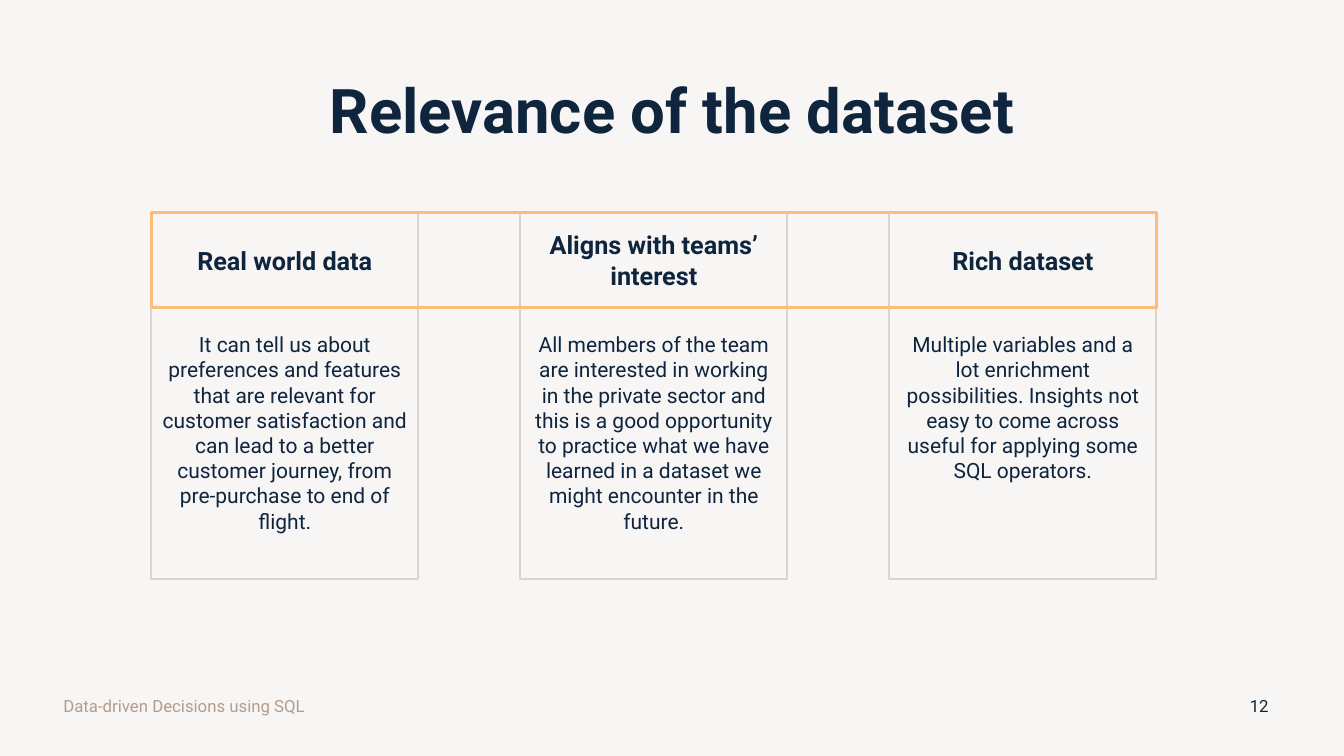
from dataclasses import dataclass

from pptx import Presentation
from pptx.dml.color import RGBColor
from pptx.enum.shapes import MSO_SHAPE as Shape
from pptx.enum.text import MSO_ANCHOR as Anchor, MSO_AUTO_SIZE as AutoSize, PP_ALIGN as Align
from pptx.shapes.autoshape import Shape as AutoShape
from pptx.slide import Slide
from pptx.util import Inches, Pt

NAVY = RGBColor(0x0F, 0x25, 0x3E)
TAUPE = RGBColor(0xB1, 0x9D, 0x8D)
BORDER = RGBColor(0xDC, 0xD3, 0xCC)
ORANGE = RGBColor(0xFA, 0xBE, 0x79)
PAPER = RGBColor(0xF8, 0xF6, 0xF5)
FONT = "Roboto"

# Column and row grid, in inches
LEFT, COLUMN, PITCH = 1.5, 2.65, 3.66
HEAD_TOP, HEAD_HEIGHT = 2.11, 0.94
BODY_TOP, BODY_HEIGHT = HEAD_TOP + HEAD_HEIGHT, 2.69
FOOTER_TOP, FOOTER_HEIGHT = 6.8, 0.4


@dataclass(frozen=True)
class Reason:
    heading: str
    detail: str


@dataclass(frozen=True)
class Box:
    left: float
    top: float
    width: float
    height: float

    def emu(self) -> tuple[int, ...]:
        return tuple(Inches(v) for v in (self.left, self.top, self.width, self.height))


REASONS = [
    Reason("Real world data",
           "It can tell us about preferences and features that are relevant for customer "
           "satisfaction and can lead to a better customer journey, from pre-purchase to "
           "end of flight."),
    Reason("Aligns with teams’ interest",
           "All members of the team are interested in working in the private sector and "
           "this is a good opportunity to practice what we have learned in a dataset we "
           "might encounter in the future."),
    Reason("Rich dataset",
           "Multiple variables and a lot enrichment possibilities. Insights not easy to "
           "come across useful for applying some SQL operators."),
]


def write(sp: AutoShape, text: str, size: float, color: RGBColor = NAVY, bold: bool = False,
          align: Align = Align.CENTER, anchor: Anchor = Anchor.MIDDLE) -> None:
    tf = sp.text_frame
    tf.text = text
    tf.word_wrap = True
    tf.auto_size = AutoSize.NONE
    tf.vertical_anchor = anchor
    p = tf.paragraphs[0]
    p.alignment = align
    p.font.name, p.font.size, p.font.bold = FONT, Pt(size), bold
    p.font.color.rgb = color


def add_frame(s: Slide, box: Box, color: RGBColor, weight: float) -> AutoShape:
    """Draw an unfilled outlined rectangle."""
    sp = s.shapes.add_shape(Shape.RECTANGLE, *box.emu())
    sp.shadow.inherit = False
    sp.fill.background()
    sp.line.color.rgb = color
    sp.line.width = Pt(weight)
    return sp


def add_reason(s: Slide, column: int, reason: Reason) -> None:
    left = LEFT + column * PITCH
    head = add_frame(s, Box(left, HEAD_TOP, COLUMN, HEAD_HEIGHT), BORDER, 1.5)
    write(head, reason.heading, 18, bold=True)
    body = add_frame(s, Box(left, BODY_TOP, COLUMN, BODY_HEIGHT), BORDER, 1.5)
    write(body, reason.detail, 15, anchor=Anchor.TOP)
    body.text_frame.margin_top = Inches(0.24)


def add_footer(s: Slide, left: float, width: float, text: str, color: RGBColor,
               align: Align) -> None:
    sp = s.shapes.add_textbox(*Box(left, FOOTER_TOP, width, FOOTER_HEIGHT).emu())
    write(sp, text, 12, color, align=align)


def main() -> None:
    prs = Presentation()
    prs.slide_width, prs.slide_height = Inches(13.33), Inches(7.5)
    s = prs.slides.add_slide(prs.slide_layouts[5])
    s.background.fill.solid()
    s.background.fill.fore_color.rgb = PAPER

    title = s.shapes.title
    title.left, title.top, title.width, title.height = Box(0.92, 0.4, 11.5, 1.45).emu()
    write(title, "Relevance of the dataset", 44, bold=True)
    title.text_frame.paragraphs[0].line_spacing = 0.9

    for column, reason in enumerate(REASONS):
        add_reason(s, column, reason)
    band_width = (len(REASONS) - 1) * PITCH + COLUMN
    add_frame(s, Box(LEFT, HEAD_TOP, band_width, HEAD_HEIGHT), ORANGE, 2.25)

    add_footer(s, 0.53, 4.5, "Data-driven Decisions using SQL", TAUPE, Align.LEFT)
    add_footer(s, 12.24, 0.5, "12", NAVY, Align.CENTER)
    prs.save("out.pptx")


if __name__ == "__main__":
    main()
